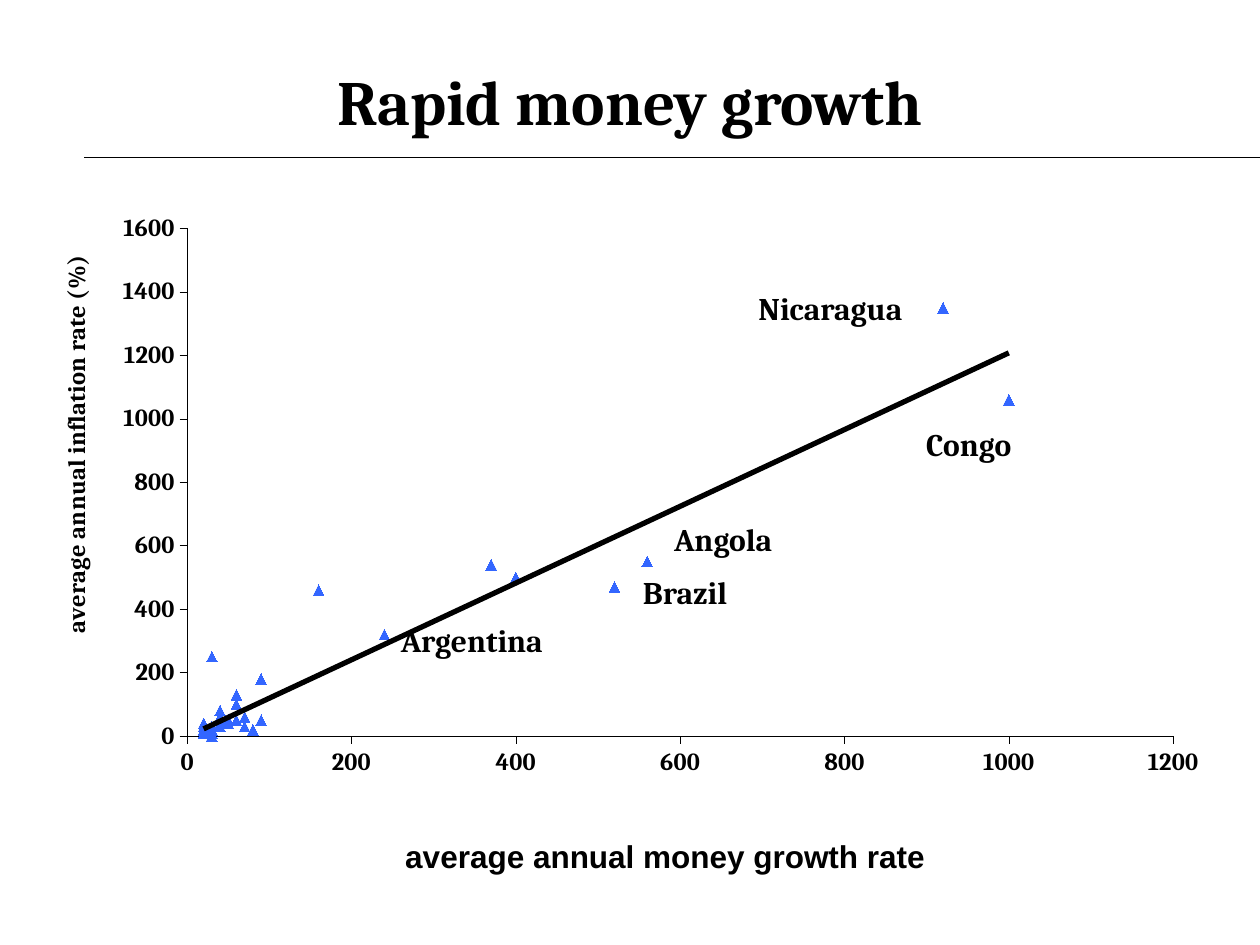
from dataclasses import dataclass

from lxml import etree
from pptx import Presentation
from pptx.chart.data import XyChartData
from pptx.dml.color import RGBColor
from pptx.enum.chart import XL_CHART_TYPE, XL_MARKER_STYLE, XL_TICK_MARK
from pptx.enum.shapes import MSO_CONNECTOR
from pptx.enum.text import MSO_ANCHOR, PP_ALIGN
from pptx.oxml import parse_xml
from pptx.oxml.ns import nsdecls, qn
from pptx.util import Cm, Pt

SCATTER = XL_CHART_TYPE.XY_SCATTER
TRIANGLE = XL_MARKER_STYLE.TRIANGLE
TICK_OUTSIDE, TICK_NONE = XL_TICK_MARK.OUTSIDE, XL_TICK_MARK.NONE
STRAIGHT = MSO_CONNECTOR.STRAIGHT
MIDDLE, TOP = MSO_ANCHOR.MIDDLE, MSO_ANCHOR.TOP
LEFT, CENTER = PP_ALIGN.LEFT, PP_ALIGN.CENTER


@dataclass(frozen=True)
class Theme:
    """Colours, fonts and type sizes of the slide."""
    ink: RGBColor = RGBColor(0, 0, 0)
    marker: RGBColor = RGBColor(0x33, 0x66, 0xFF)
    serif: str = "Cambria"
    sans: str = "Arial"
    title: int = 36
    label: int = 18
    axis: int = 14


THEME = Theme()

INFLATION_BY_MONEY_GROWTH = {
    1000: [1060], 920: [1350], 560: [550], 520: [470],
    400: [500], 370: [540], 240: [320], 160: [460],
    90: [50, 180], 80: [20], 70: [30, 60], 60: [100, 130, 50],
    50: [40, 50, 40, 50, 40],
    40: [80, 50, 30, 40, 30, 40, 60],
    30: [30, 20, 10, 30, 0, 250, 20, 0, 20, 20, 20, 20, 0, 20],
    20: [20, 20, 20, 20, 10, 10, 10, 10, 40, 20, 30, 30, 20, 10],
}

COUNTRIES = [
    ("Nicaragua", 14.4, 2.11), ("Congo", 17.78, 4.85), ("Brazil", 12.07, 7.82),
    ("Angola", 12.7, 6.76), ("Argentina", 7.19, 8.79),
]


def style_font(font, size, name=THEME.serif):
    """Set a bold font in the ink colour."""
    font.name, font.size, font.bold = name, Pt(size), True
    font.color.rgb = THEME.ink


def add_text(s, box, text, size, align=LEFT, anchor=TOP):
    """Add a one-line text box."""
    tf = s.shapes.add_textbox(*map(Cm, box)).text_frame
    tf.word_wrap = True
    tf.vertical_anchor = anchor
    p = tf.paragraphs[0]
    p.alignment = align
    r = p.add_run()
    r.text = text
    style_font(r.font, size)


def add_heading(s, box):
    """Add the title and the rule along the bottom of its box."""
    left, top, width, height = box
    add_text(s, box, "Rapid money growth", THEME.title, CENTER, MIDDLE)
    bottom = Cm(top + height)
    rule = s.shapes.add_connector(STRAIGHT, Cm(left + 0.43), bottom, Cm(25.4), bottom)
    rule.line.color.rgb = THEME.ink
    rule.line.width = Pt(0.75)
    etree.SubElement(rule._element.spPr, qn("a:effectLst"))


def set_layout(element, inner=False, **fractions):
    """Place a chart part by fractions of the chart area."""
    old = element.find(qn("c:layout"))
    if old is not None:
        element.remove(old)
    target = '<c:layoutTarget val="inner"/>' if inner else ""
    modes = "".join(f'<c:{k}Mode val="edge"/>' for k in "xy")
    values = "".join(f'<c:{k} val="{v}"/>' for k, v in fractions.items())
    layout = parse_xml(f'<c:layout {nsdecls("c")}><c:manualLayout>'
                       f'{target}{modes}{values}</c:manualLayout></c:layout>')
    element.insert(0 if element.find(qn("c:tx")) is None else 1, layout)


def style_axis(axis, title, maximum, size, font_name, x, y):
    """Set the scale, ticks, line and title of an axis."""
    axis.minimum_scale, axis.maximum_scale, axis.major_unit = 0, maximum, 200
    axis.has_major_gridlines = False
    axis.major_tick_mark, axis.minor_tick_mark = TICK_OUTSIDE, TICK_NONE
    axis.tick_labels.number_format = "General"
    axis.tick_labels.number_format_is_linked = False
    style_font(axis.tick_labels.font, THEME.axis)
    axis.format.line.color.rgb = THEME.ink
    axis.format.line.width = Pt(0.25)
    r = axis.axis_title.text_frame.paragraphs[0].add_run()
    r.text = title
    style_font(r.font, size, font_name)
    set_layout(axis.axis_title._element, x=x, y=y)


def add_trendline(series):
    """Add a linear trend line ahead of the series values."""
    trend = parse_xml(
        f'<c:trendline {nsdecls("c", "a")}><c:spPr><a:ln w="{Pt(3)}"><a:solidFill>'
        f'<a:srgbClr val="{THEME.ink}"/></a:solidFill></a:ln></c:spPr>'
        '<c:trendlineType val="linear"/><c:dispRSqr val="0"/><c:dispEq val="0"/>'
        '</c:trendline>')
    series._element.find(qn("c:xVal")).addprevious(trend)


def add_scatter(s, box):
    """Add the scatter chart with its trend line."""
    data = XyChartData()
    points = data.add_series("Series 1")
    for growth, rates in INFLATION_BY_MONEY_GROWTH.items():
        for rate in rates:
            points.add_data_point(growth, rate)
    chart = s.shapes.add_chart(SCATTER, *map(Cm, box), data).chart
    chart.has_legend = chart.has_title = False
    style_font(chart.font, THEME.label, THEME.sans)
    plot = chart.plots[0]
    plot.vary_by_categories = False
    series = plot.series[0]
    series.smooth = False
    series.format.line.fill.background()
    series.marker.style, series.marker.size = TRIANGLE, 6
    for part in (series.marker.format.fill, series.marker.format.line.fill):
        part.solid()
        part.fore_color.rgb = THEME.marker
    add_trendline(series)
    style_axis(chart.category_axis, "average annual money growth rate", 1200,
               THEME.label, THEME.sans, 0.31, 0.9)
    style_axis(chart.value_axis, "average annual inflation rate (%)", 1600,
               THEME.axis, THEME.serif, 0.02, 0.1)
    body = chart.value_axis.axis_title.text_frame._txBody.find(qn("a:bodyPr"))
    body.set("rot", "-5400000")
    body.set("vert", "horz")
    set_layout(chart._chartSpace.chart.plotArea, True, x=0.131, y=0.069, w=0.831, h=0.701)


def add_country_labels(s, box):
    """Name the outlying countries over the chart."""
    left, top = box[:2]
    for name, dx, dy in COUNTRIES:
        add_text(s, (left + dx, top + dy, 3.81, 1.02), name, THEME.label)


def main():
    """Build and save the slide."""
    prs = Presentation()
    prs.slide_width, prs.slide_height = Cm(25.4), Cm(19.05)
    s = prs.slides.add_slide(prs.slide_layouts[6])
    chart_box = (0.64, 3.6, 23.92, 14.6)
    add_heading(s, (1.27, 0.85, 22.86, 2.33))
    add_scatter(s, chart_box)
    add_country_labels(s, chart_box)
    prs.save("out.pptx")


if __name__ == "__main__":
    main()
